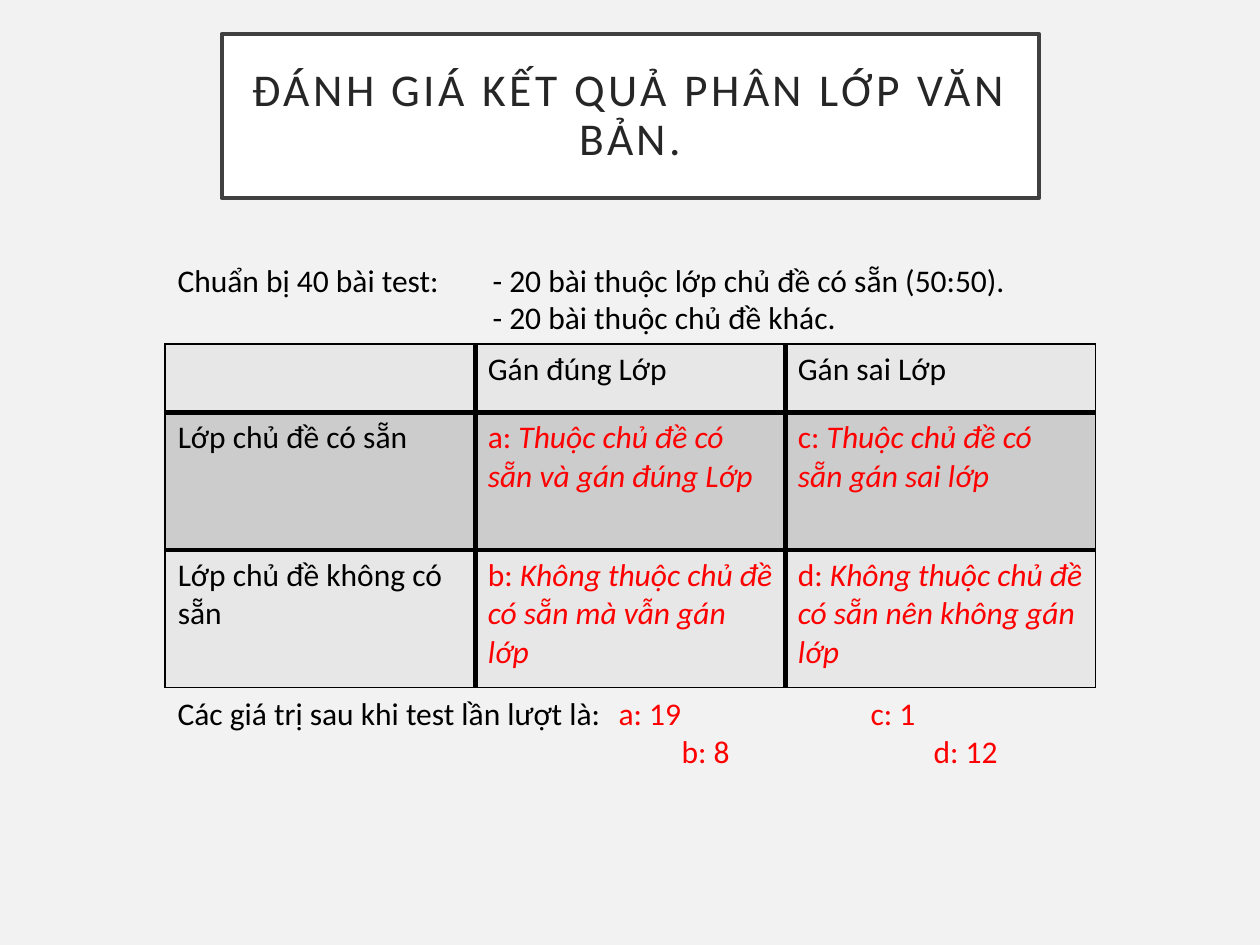
from lxml.etree import SubElement
from pptx import Presentation
from pptx.dml.color import RGBColor
from pptx.enum.shapes import MSO_SHAPE
from pptx.enum.text import MSO_ANCHOR, PP_ALIGN
from pptx.oxml.ns import qn
from pptx.util import Cm, Pt

COLORS = {
    "background": "F2F2F2",
    "white": "FFFFFF",
    "frame": "404040",
    "title": "262626",
    "text": "000000",
    "result": "FF0000",
    "light row": "E7E7E7",
    "dark row": "CCCCCC",
}
FONT = "Calibri"
LEFT = 3.33
THIN, THICK = 1, 3

# Each cell holds (text, colour, italic) spans
TABLE_ROWS = [
    [[], [("Gán đúng Lớp", "text", False)], [("Gán sai Lớp", "text", False)]],
    [
        [("Lớp chủ đề có sẵn", "text", False)],
        [("a: ", "result", False), ("Thuộc chủ đề có sẵn và gán đúng Lớp", "result", True)],
        [("c: ", "result", False), ("Thuộc chủ đề có sẵn gán sai lớp", "result", True)],
    ],
    [
        [("Lớp chủ đề không có sẵn", "text", False)],
        [("b: ", "result", False), ("Không thuộc chủ đề có sẵn mà vẫn gán lớp", "result", True)],
        [("d: ", "result", False), ("Không thuộc chủ đề có sẵn nên không gán lớp", "result", True)],
    ],
]
ROW_HEIGHTS = [1.39, 2.77, 2.77]
COLUMN_WIDTH = 6.25


def color(name):
    return RGBColor.from_string(COLORS[name])


def paint(fill, name):
    fill.solid()
    fill.fore_color.rgb = color(name)


def write(para, spans, size=18):
    para.font.name = FONT
    para.font.size = Pt(size)
    for text, name, italic in spans:
        span = para.add_run()
        span.text = text
        span.font.color.rgb = color(name)
        if italic:
            span.font.italic = True


def set_tabs(para, stops):
    tabs = SubElement(para._p.get_or_add_pPr(), qn("a:tabLst"))
    for stop in stops:
        SubElement(tabs, qn("a:tab"), pos=str(Cm(stop)), algn="l")


def add_title(page, text):
    box = page.shapes.add_shape(MSO_SHAPE.RECTANGLE, Cm(4.47), Cm(0.69), Cm(16.48), Cm(3.3))
    box.shadow.inherit = False
    paint(box.fill, "white")
    box.line.color.rgb = color("frame")
    box.line.width = Pt(2.5)
    frame = box.text_frame
    frame.word_wrap = True
    frame.vertical_anchor = MSO_ANCHOR.MIDDLE
    frame.margin_left = frame.margin_right = Cm(0.51)
    frame.margin_top = frame.margin_bottom = Cm(0.51)
    para = frame.paragraphs[0]
    para.alignment = PP_ALIGN.CENTER
    para.line_spacing = 0.9
    write(para, [(text, "title", False)], 26)
    para.runs[0]._r.get_or_add_rPr().set("spc", "200")


def add_tabbed_text(page, top, width, height, lines):
    """Each line is a pair: its spans and its tab stops."""
    box = page.shapes.add_textbox(Cm(LEFT), Cm(top), Cm(width), Cm(height))
    frame = box.text_frame
    frame.word_wrap = True
    for index, (spans, stops) in enumerate(lines):
        para = frame.add_paragraph() if index else frame.paragraphs[0]
        set_tabs(para, stops)
        write(para, spans)


def set_borders(cell, widths):
    """Widths run left, right, top, bottom; the lines precede the fill."""
    properties = cell._tc.get_or_add_tcPr()
    for index, (side, width) in enumerate(zip("LRTB", widths)):
        line = SubElement(properties, qn(f"a:ln{side}"), w=str(Pt(width)))
        fill = SubElement(line, qn("a:solidFill"))
        SubElement(fill, qn("a:srgbClr"), val=COLORS["text"])
        properties.insert(index, line)


def add_result_table(page):
    count = len(TABLE_ROWS)
    table = page.shapes.add_table(
        count, count, Cm(LEFT), Cm(6.93), Cm(COLUMN_WIDTH * count), Cm(sum(ROW_HEIGHTS))
    ).table
    for column in table.columns:
        column.width = Cm(COLUMN_WIDTH)
    last = count - 1
    for i, row in enumerate(TABLE_ROWS):
        table.rows[i].height = Cm(ROW_HEIGHTS[i])
        for j, spans in enumerate(row):
            cell = table.cell(i, j)
            paint(cell.fill, "dark row" if i % 2 else "light row")
            # Thin outer edge, thick inner lines
            outer = (j == 0, j == last, i == 0, i == last)
            set_borders(cell, [THIN if edge else THICK for edge in outer])
            para = cell.text_frame.paragraphs[0]
            para.font.bold = False
            write(para, spans)


def main():
    deck = Presentation()
    deck.slide_width, deck.slide_height = Cm(25.4), Cm(19.05)
    page = deck.slides.add_slide(deck.slide_layouts[6])
    paint(page.background.fill, "background")

    add_title(page, "ĐÁNH GIÁ KẾT QUẢ PHÂN LỚP VĂN BẢN.")
    add_result_table(page)

    # Test set, above the table
    add_tabbed_text(page, 5.13, 18.59, 1.8, [
        ([("Chuẩn bị 40 bài test:\t- 20 bài thuộc lớp chủ đề có sẵn (50:50).", "text", False)], [6.35]),
        ([("\t- 20 bài thuộc chủ đề khác.", "text", False)], [6.35]),
    ])

    # Counts, below the table
    add_tabbed_text(page, 13.87, 18.75, 2.57, [
        ([("Các giá trị sau khi test lần lượt là:", "text", False),
          ("\ta: 19\tc: 1", "result", False)], [8.89, 13.97]),
        ([("\tb: 8\td: 12", "result", False)], [10.16, 15.24]),
    ])

    deck.save("out.pptx")


if __name__ == "__main__":
    main()
